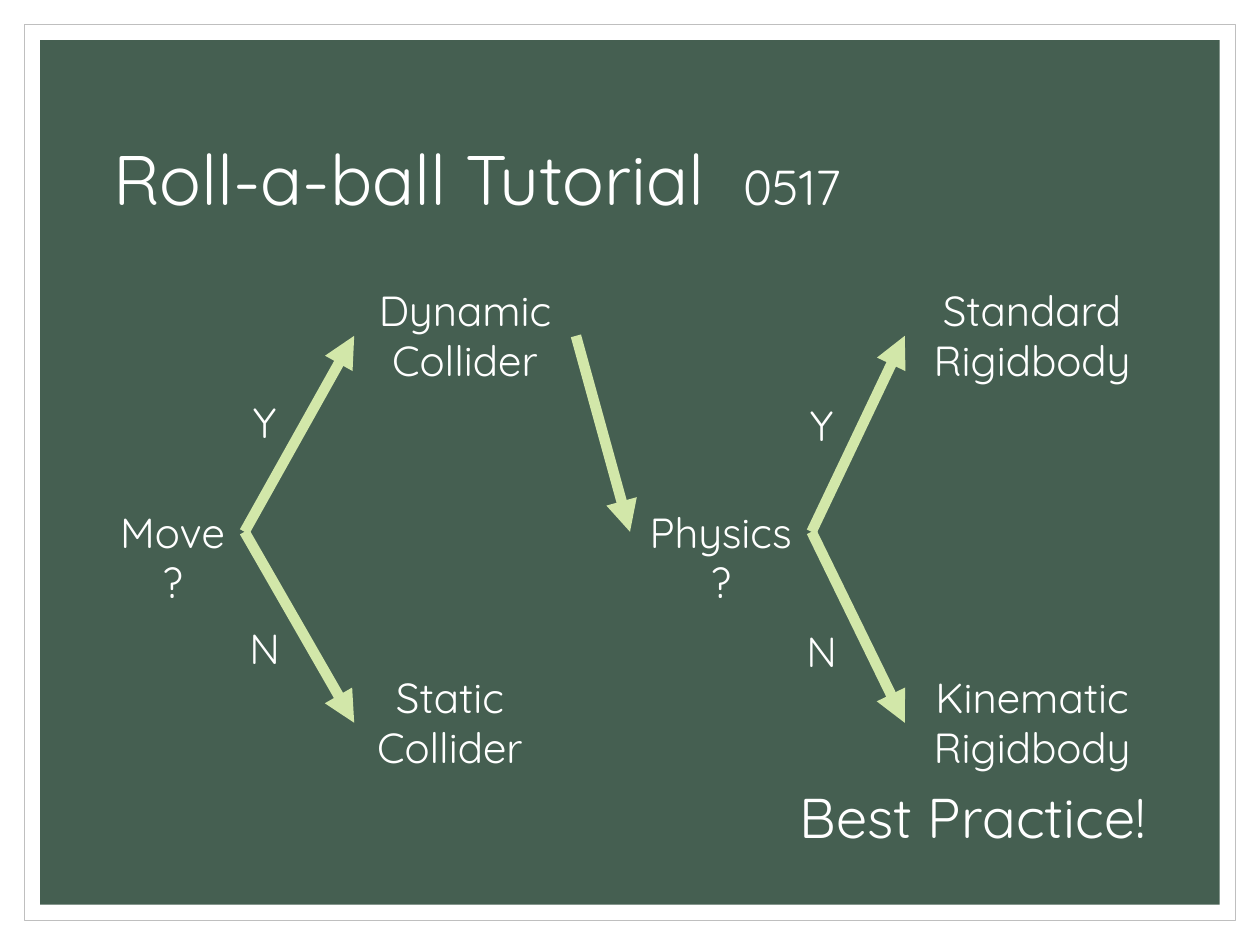
from lxml.etree import SubElement
from pptx import Presentation
from pptx.dml.color import RGBColor
from pptx.enum.shapes import MSO_CONNECTOR, MSO_SHAPE
from pptx.enum.text import MSO_ANCHOR, MSO_AUTO_SIZE, PP_ALIGN
from pptx.oxml.ns import qn
from pptx.util import Cm, Pt

COLORS = {"paper": "FFFFFF", "frame": "BFBFBF", "board": "455F51",
          "chalk": "FFFFFF", "arrow": "D2E7A9"}
FONT = "Quicksand"
WIDTH, HEIGHT = 25.4, 19.05


def rgb(name):
    return RGBColor.from_string(COLORS[name])


class Board:
    def __init__(self, slide):
        self.shapes = slide.shapes

    def panel(self, margin, fill, line=None):
        """Draw a rectangle inset from every slide edge by margin."""
        sp = self.shapes.add_shape(
            MSO_SHAPE.RECTANGLE, Cm(margin), Cm(margin),
            Cm(WIDTH - 2 * margin), Cm(HEIGHT - 2 * margin))
        sp.shadow.inherit = False
        sp.fill.solid()
        sp.fill.fore_color.rgb = rgb(fill)
        if line:
            sp.line.color.rgb = rgb(line)
            sp.line.width = Pt(0.5)
        else:
            sp.line.fill.background()

    def text(self, runs, x, y, w, h, align=PP_ALIGN.CENTER):
        """Add a one-paragraph text box from (text, size) runs."""
        sp = self.shapes.add_textbox(Cm(x), Cm(y), Cm(w), Cm(h))
        tf = sp.text_frame
        tf.word_wrap = True
        tf.auto_size = MSO_AUTO_SIZE.SHAPE_TO_FIT_TEXT
        p = tf.paragraphs[0]
        p.alignment = align
        for text, size in runs:
            r = p.add_run()
            r.text = text
            r.font.size = Pt(size)
            r.font.name = FONT
            r.font.color.rgb = rgb("chalk")
        return sp

    def title(self, runs, x, y, w, h):
        tf = self.text(runs, x, y, w, h, PP_ALIGN.LEFT).text_frame
        tf.auto_size = MSO_AUTO_SIZE.NONE
        tf.vertical_anchor = MSO_ANCHOR.MIDDLE
        tf.paragraphs[0].line_spacing = 0.9

    def arrow(self, start, end):
        """Join the right side of start to the left side of end."""
        cx = self.shapes.add_connector(
            MSO_CONNECTOR.STRAIGHT,
            start.left + start.width, start.top + start.height // 2,
            end.left, end.top + end.height // 2)
        cx.line.color.rgb = rgb("arrow")
        cx.line.width = Pt(6)
        SubElement(cx.line._get_or_add_ln(), qn("a:tailEnd"), type="triangle")
        SubElement(cx._element.spPr, qn("a:effectLst"))


def main():
    prs = Presentation()
    prs.slide_width, prs.slide_height = Cm(WIDTH), Cm(HEIGHT)
    board = Board(prs.slides.add_slide(prs.slide_layouts[6]))

    board.panel(0.49, "paper", "frame")
    board.panel(0.81, "board")
    board.title([("Roll-a-ball Tutorial\t", 40), ("0517", 28)],
                2.03, 1.78, 21.34, 3.81)

    top, middle, bottom = 5.61, 10.08, 13.41
    one_line, two_lines = 1.28, 2.32
    nodes = {
        name: board.text([(name, 24)], x, y, w, h)
        for name, x, y, w, h in [
            ("Move?", 2.03, middle, 2.9, one_line),
            ("Static Collider", 7.14, bottom, 3.86, two_lines),
            ("Standard Rigidbody", 18.24, top, 5.13, two_lines),
            ("Physics?", 12.7, middle, 3.66, one_line),
            ("Dynamic Collider", 7.14, top, 4.47, two_lines),
            ("Kinematic Rigidbody", 18.24, bottom, 5.13, two_lines),
        ]
    }
    for start, end in [("Move?", "Dynamic Collider"),
                       ("Move?", "Static Collider"),
                       ("Dynamic Collider", "Physics?"),
                       ("Physics?", "Standard Rigidbody"),
                       ("Physics?", "Kinematic Rigidbody")]:
        board.arrow(nodes[start], nodes[end])

    for x, y in [(3.1, 7.87), (14.33, 7.93)]:
        for row, answer in enumerate("YN"):
            board.text([(answer, 24)], x, y + 4.55 * row, 4.47, one_line)

    board.text([("Best Practice!", 32)], 8.15, 15.65, 15.21, 1.62,
               PP_ALIGN.RIGHT)
    prs.save("out.pptx")


if __name__ == "__main__":
    main()
